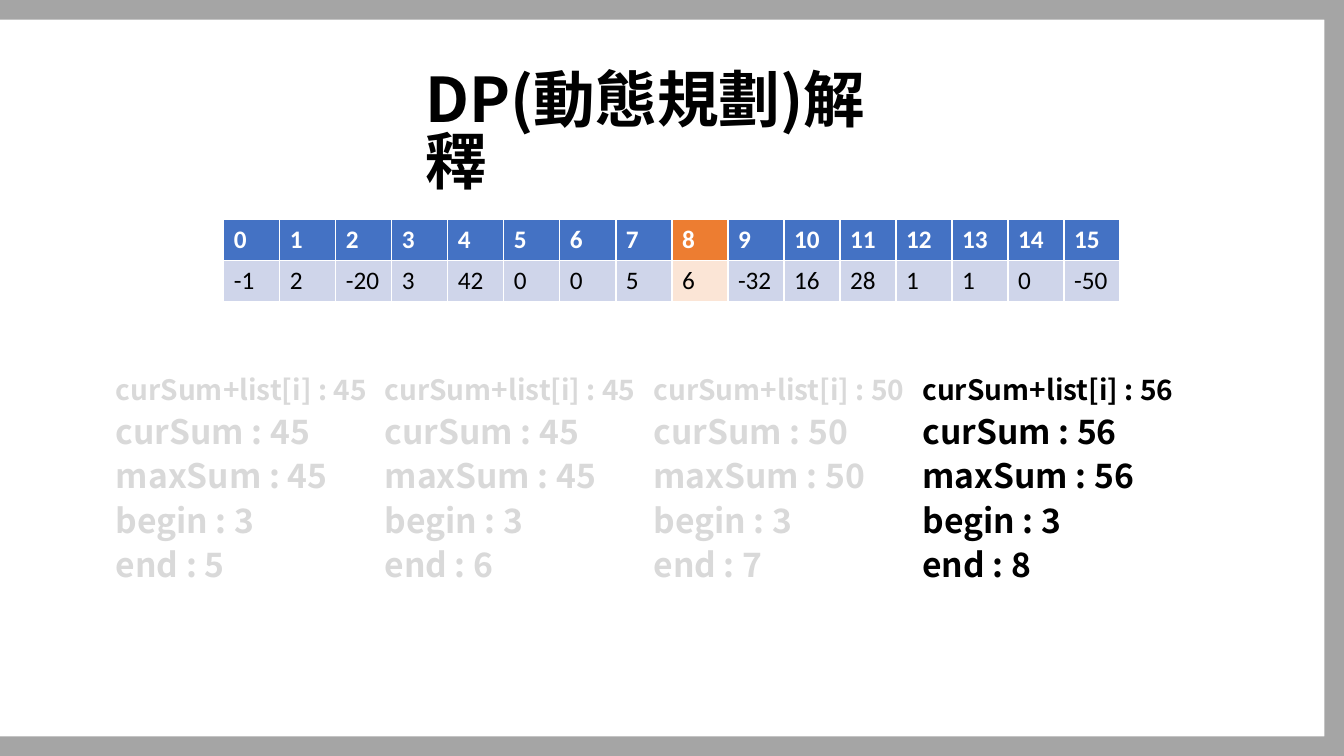
import pptx
import pptx.dml.color
import pptx.enum.shapes
import pptx.enum.text
import pptx.util
from pptx.util import Inches

CJK_FONT = "Noto Sans CJK SC"
BLACK, WHITE, GREY, FADED = "000000", "FFFFFF", "A5A5A5", "D9D9D9"
HEADER, BODY = "4472C4", "CFD5EA"
HEADER_MARKED, BODY_MARKED = "ED7D31", "FBE5D6"

NUMBERS = [-1, 2, -20, 3, 42, 0, 0, 5, 6, -32, 16, 28, 1, 1, 0, -50]
MARKED_INDEX = 8
STEPS = [(45, 5, FADED), (45, 6, FADED), (50, 7, FADED), (56, 8, BLACK)]


def color(value):
    return pptx.dml.color.RGBColor.from_string(value)


def write(para, text, size, hex_color, bold=True, name=CJK_FONT):
    para.text = text
    formats = {"size": pptx.util.Pt(size), "bold": bold, "name": name}
    for key, value in formats.items():
        setattr(para.font, key, value)
    para.font.color.rgb = color(hex_color)


def add_frame(page):
    frame = page.shapes.add_shape(
        pptx.enum.shapes.MSO_SHAPE.FRAME,
        Inches(-0.26), 0, Inches(13.59), Inches(7.5))
    frame.adjustments[0] = 0.026
    frame.shadow.inherit = False
    frame.fill.solid()
    frame.fill.fore_color.rgb = color(GREY)
    frame.line.fill.background()


def set_title(page, text):
    title = page.shapes.title
    position = {"left": 4.12, "top": 0.67, "width": 5.1, "height": 0.84}
    for key, value in position.items():
        setattr(title, key, Inches(value))
    frame = title.text_frame
    frame.word_wrap = True
    frame.auto_size = pptx.enum.text.MSO_AUTO_SIZE.NONE
    frame.vertical_anchor = pptx.enum.text.MSO_ANCHOR.TOP
    para = frame.paragraphs[0]
    para.alignment = pptx.enum.text.PP_ALIGN.LEFT
    para.line_spacing = 0.84
    write(para, text, 44, BLACK)


def add_number_table(page):
    table = page.shapes.add_table(
        2, len(NUMBERS), Inches(2.22), Inches(2.18),
        Inches(8.89), Inches(0.81)).table
    rows = [
        (range(len(NUMBERS)), HEADER, HEADER_MARKED, WHITE, True),
        (NUMBERS, BODY, BODY_MARKED, BLACK, False),
    ]
    for row, (values, fill, marked_fill, text_color, bold) in enumerate(rows):
        for column, value in enumerate(values):
            cell = table.cell(row, column)
            cell.fill.solid()
            cell.fill.fore_color.rgb = color(
                marked_fill if column == MARKED_INDEX else fill)
            write(cell.text_frame.paragraphs[0], str(value), 18,
                  text_color, bold, "Calibri")


def add_step(page, left, total, end, text_color):
    box = page.shapes.add_textbox(
        Inches(left), Inches(3.72), Inches(2.93), Inches(2.98))
    frame = box.text_frame
    frame.word_wrap = True
    lines = [f"curSum+list[i] : {total}", f"curSum : {total}",
             f"maxSum : {total}", "begin : 3", f"end : {end}"]
    for index, line in enumerate(lines):
        para = frame.add_paragraph() if index else frame.paragraphs[0]
        para.line_spacing = 0.76
        para.space_before = pptx.util.Pt(10 if index else 0)
        write(para, line, 24 if index else 20, text_color)


def main():
    deck = pptx.Presentation()
    deck.slide_width, deck.slide_height = Inches(13.33), Inches(7.5)
    page = deck.slides.add_slide(deck.slide_layouts.get_by_name("Title Only"))
    add_frame(page)
    set_title(page, "DP(動態規劃)解釋")
    add_number_table(page)
    for index, (total, end, text_color) in enumerate(STEPS):
        add_step(page, 1.05 + index * 8 / 3, total, end, text_color)
    deck.save("out.pptx")


if __name__ == "__main__":
    main()
